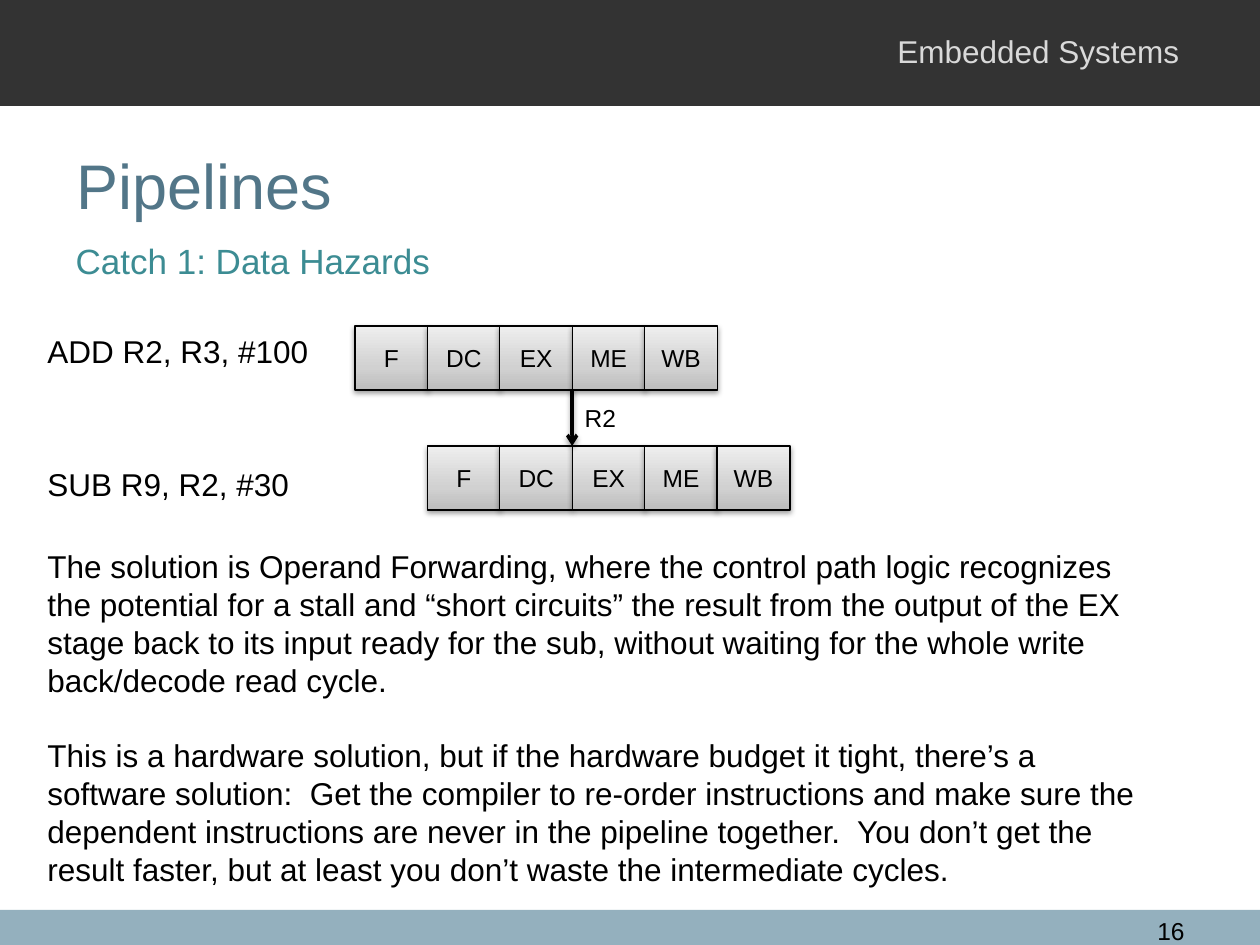
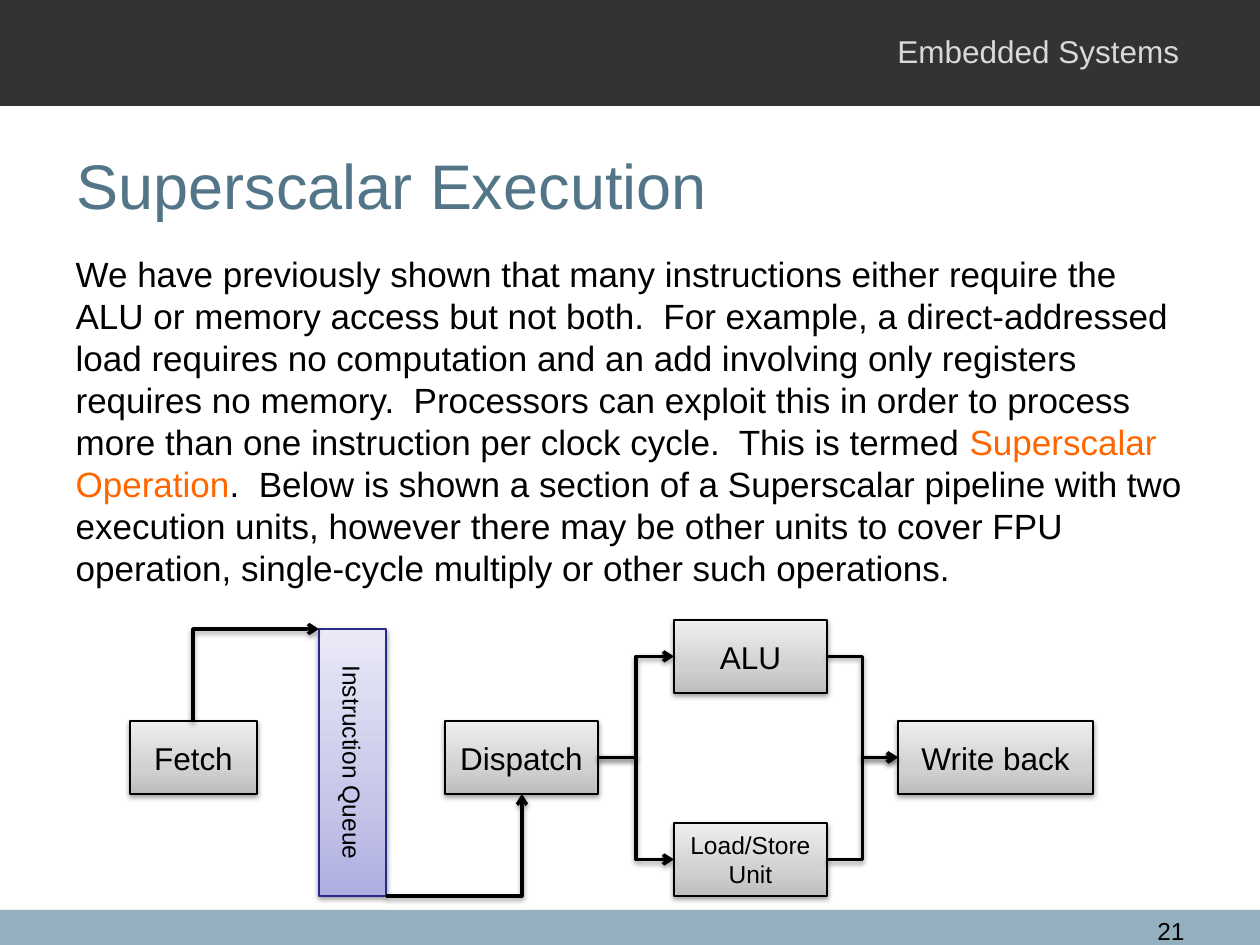
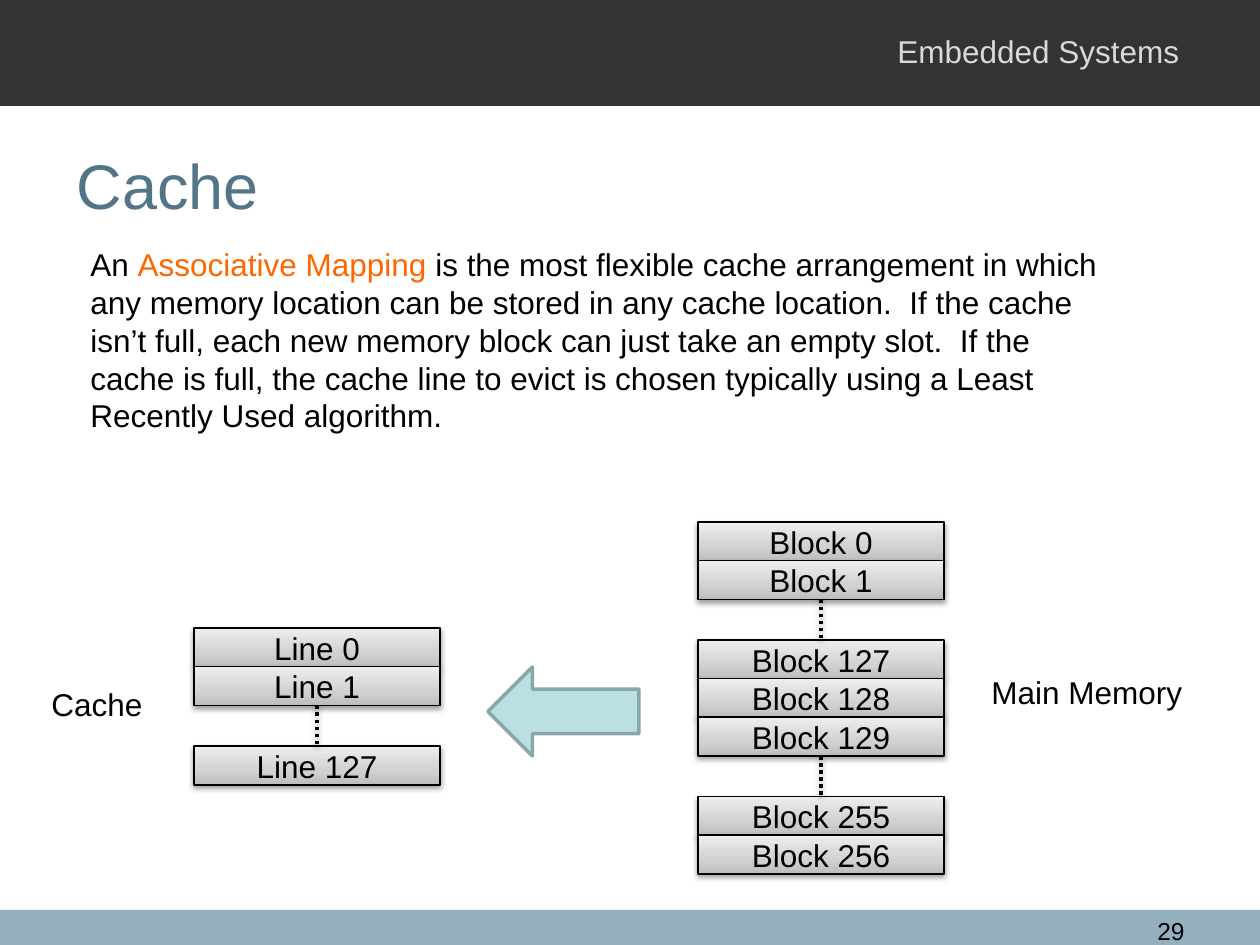
import dataclasses

import pptx
import pptx.dml.color
import pptx.enum.dml
import pptx.enum.shapes
import pptx.enum.text
import pptx.oxml
import pptx.oxml.ns
import pptx.util

SCALE = 914400 / 126  # EMU in one px
SLIDE_SIZE = (1260, 945)

SHAPES = pptx.enum.shapes.MSO_SHAPE
CONNECTORS = pptx.enum.shapes.MSO_CONNECTOR
ALIGN = pptx.enum.text.PP_ALIGN
AUTO_SIZE = pptx.enum.text.MSO_AUTO_SIZE
TOP, LEFT, BOTTOM, RIGHT = range(4)


@dataclasses.dataclass(frozen=True)
class Theme:
    font: str = "Arial"
    ink: str = "000000"
    title: str = "527688"
    subtitle: str = "3C8C93"
    emphasis: str = "FF6600"
    header: str = "D9D9D9"
    header_band: str = "333333"
    footer_band: str = "94B0BE"
    grey: tuple = ((0, "BDBDBD"), (35, "D1D1D1"), (100, "EEEEEE"))
    violet: tuple = ((0, "ADADE1"), (35, "C6C6E9"), (100, "E9E9F7"))
    violet_line: str = "2A2A89"
    arrow: str = "BBE0E3"
    arrow_line: str = "8AA6A8"
    title_size: int = 36
    lead_size: int = 20
    text_size: int = 18
    small_size: int = 14
    thin: float = 0.75
    thick: float = 2


THEME = Theme()

# A paragraph is a tuple of runs; every second run is emphasised.
HEADER = "Embedded Systems"

STAGES = ("F", "DC", "EX", "ME", "WB")
PIPELINE_ROWS = (  # instruction, label box, first column, row top
    ("ADD R2, R3, #100", (35, 326, 291, 50), 0, 326),
    ("SUB R9, R2, #30", (35, 459, 270, 50), 1, 446),
)
FORWARDED = "R2"
FORWARDING_TEXT = (
    ("The solution is Operand Forwarding, where the control path logic recognizes the potential "
     "for a stall and “short circuits” the result from the output of the EX stage back to its "
     "input ready for the sub, without waiting for the whole write back/decode read cycle.",),
    ("This is a hardware solution, but if the hardware budget it tight, there’s a software "
     "solution:  Get the compiler to re-order instructions and make sure the dependent "
     "instructions are never in the pipeline together.  You don’t get the result faster, but at "
     "least you don’t waste the intermediate cycles.",),
)

SUPERSCALAR_TEXT = (
    "We have previously shown that many instructions either require the ALU or memory access but "
    "not both.  For example, a direct-addressed load requires no computation and an add involving "
    "only registers requires no memory.  Processors can exploit this in order to process more than "
    "one instruction per clock cycle.  This is termed ",
    "Superscalar Operation",
    ".  Below is shown a section of a Superscalar pipeline with two execution units, however there "
    "may be other units to cover FPU operation, single-cycle multiply or other such operations.",
)
UNIT_HEIGHT = 73
UNITS = (  # text, left, top, width, type size
    ("Fetch", 130, 721, 127, THEME.text_size),
    ("Dispatch", 445, 721, 153, THEME.text_size),
    ("ALU", 674, 620, 153, THEME.text_size),
    ("Load/Store Unit", 674, 823, 153, THEME.small_size),
    ("Write back", 898, 721, 195, THEME.text_size),
)
QUEUE = ("Instruction Queue", (319, 629, 67, 267))
UNIT_LINKS = (
    ("Dispatch", "ALU"),
    ("Dispatch", "Load/Store Unit"),
    ("ALU", "Write back"),
    ("Load/Store Unit", "Write back"),
)

CACHE_TEXT = (
    "An ",
    "Associative Mapping",
    " is the most flexible cache arrangement in which any memory location can be stored in any "
    "cache location.  If the cache isn’t full, each new memory block can just take an empty slot.  "
    "If the cache is full, the cache line to evict is chosen typically using a Least Recently Used "
    "algorithm.",
)
STACKS = (  # label, label box, left and top of the stack, groups of cells
    ("Main Memory", (979, 667, 218, 50), (698, 522),
     (("Block 0", "Block 1"), ("Block 127", "Block 128", "Block 129"), ("Block 255", "Block 256"))),
    ("Cache", (39, 679, 117, 50), (194, 628),
     (("Line 0", "Line 1"), ("Line 127",))),
)


def emu(*lengths):
    return [round(length * SCALE) for length in lengths]


def rgb(color):
    return pptx.dml.color.RGBColor.from_string(color)


def element(xml):
    """Parse one DrawingML element written without its namespace declaration."""
    tag, rest = xml[:-1].split(" ", 1) if " " in xml.split(">")[0] else xml.split(">", 1)
    raise ValueError(tag + rest)


def drawing(name, content="", attributes=""):
    namespace = pptx.oxml.ns.nsdecls("a")
    return pptx.oxml.parse_xml(f"<a:{name} {namespace} {attributes}>{content}</a:{name}>")


def write(text_frame, paragraphs, size, color=THEME.ink, align=ALIGN.LEFT, gap=0):
    for index, runs in enumerate(paragraphs):
        paragraph = text_frame.paragraphs[0] if index == 0 else text_frame.add_paragraph()
        paragraph.alignment = align
        paragraph.space_before = pptx.util.Pt(gap if index else 0)
        for position, text in enumerate(runs):
            run = paragraph.add_run()
            run.text = text
            run.font.name = THEME.font
            run.font.size = pptx.util.Pt(size)
            run.font.color.rgb = rgb(THEME.emphasis if position % 2 else color)


def add_text(slide, box, paragraphs, size, wrap=True, grow=True, **style):
    shape = slide.shapes.add_textbox(*emu(*box))
    shape.text_frame.word_wrap = wrap
    shape.text_frame.auto_size = AUTO_SIZE.SHAPE_TO_FIT_TEXT if grow else AUTO_SIZE.NONE
    write(shape.text_frame, paragraphs, size, **style)
    return shape


def fill_placeholder(placeholder, box, runs, size, color):
    placeholder.left, placeholder.top, placeholder.width, placeholder.height = emu(*box)
    placeholder.text_frame.auto_size = AUTO_SIZE.NONE
    properties = placeholder.text_frame.paragraphs[0]._p.get_or_add_pPr()
    properties.set("marL", "0")
    properties.set("indent", "0")
    properties.append(drawing("buNone"))
    write(placeholder.text_frame, [runs], size, color)


def add_shadow(shape):
    shadow = ('<a:outerShdw blurRad="40000" dist="20000" dir="5400000" rotWithShape="0">'
              '<a:srgbClr val="000000"><a:alpha val="38000"/></a:srgbClr></a:outerShdw>')
    shape.element.spPr.append(drawing("effectLst", shadow))


def add_box(slide, box, text, size, stops=THEME.grey, line=THEME.ink):
    """Add a shadowed rectangle shaded from bottom to top."""
    shape = slide.shapes.add_shape(SHAPES.RECTANGLE, *emu(*box))
    colors = "".join(f'<a:gs pos="{place * 1000}"><a:srgbClr val="{color}"/></a:gs>'
                     for place, color in stops)
    shape.element.spPr.append(drawing(
        "gradFill", f'<a:gsLst>{colors}</a:gsLst><a:lin ang="16200000" scaled="0"/>',
        'rotWithShape="1"'))
    shape.line.color.rgb = rgb(line)
    shape.line.width = pptx.util.Pt(THEME.thin)
    add_shadow(shape)
    write(shape.text_frame, [(text,)], size, align=ALIGN.CENTER)
    return shape


def add_line(slide, kind=CONNECTORS.STRAIGHT, points=(0, 0, 0, 0), arrow_end=None):
    """Add a line; arrow_end is headEnd (start), tailEnd (finish) or None."""
    connector = slide.shapes.add_connector(kind, *emu(*points))
    connector.line.color.rgb = rgb(THEME.ink)
    connector.line.width = pptx.util.Pt(THEME.thick)
    if arrow_end:
        connector.line._get_or_add_ln().append(drawing(arrow_end, attributes='type="arrow"'))
    add_shadow(connector)
    return connector


def join(connector, start, start_side, finish, finish_side):
    connector.begin_connect(start, start_side)
    connector.end_connect(finish, finish_side)


def add_corner_line(slide, points, arrow_end):
    """Add a line that runs across first and then up or down."""
    connector = add_line(slide, CONNECTORS.ELBOW, points, arrow_end)
    connector.element.spPr.find(pptx.oxml.ns.qn("a:prstGeom")).set("prst", "bentConnector2")


def add_band(slide, box, color):
    band = slide.shapes.add_shape(SHAPES.RECTANGLE, *emu(*box))
    band.shadow.inherit = False
    band.fill.solid()
    band.fill.fore_color.rgb = rgb(color)
    band.line.fill.background()
    return band


def furnish_master(presentation, slide):
    """Draw the bands and the header, then move them to the slide master."""
    parts = (
        add_band(slide, (0, 910, 1260, 35), THEME.footer_band),
        add_band(slide, (0, 0, 1260, 106), THEME.header_band),
        add_text(slide, (885, 26, 315, 50), [(HEADER,)], THEME.text_size, color=THEME.header),
    )
    for index, part in enumerate(parts):
        part.element.nvSpPr.cNvPr.set("id", str(100 + index))
        presentation.slide_master.shapes.element.insert(2 + index, part.element)


def add_slide(presentation, title, number, has_body=False):
    slide = presentation.slides.add_slide(presentation.slide_layouts[1 if has_body else 5])
    if len(presentation.slides) == 1:
        furnish_master(presentation, slide)
    fill_placeholder(slide.shapes.title, (64, 106, 1134, 157), (title,),
                     THEME.title_size, THEME.title)
    add_text(slide, (1116, 910, 81, 30), [(str(number),)], THEME.small_size,
             grow=False, align=ALIGN.RIGHT)
    return slide


def build_pipelines(presentation):
    slide = add_slide(presentation, "Pipelines", 16, has_body=True)
    fill_placeholder(slide.placeholders[1], (63, 233, 1134, 62), ("Catch 1: Data Hazards",),
                     THEME.lead_size, THEME.subtitle)
    first_left, pitch, width, height = 355, 72.4, 73, 64
    for instruction, label_box, first_column, top in PIPELINE_ROWS:
        for column, stage in enumerate(STAGES, first_column):
            left = first_left + column * pitch
            add_box(slide, (left, top, width, height), stage, THEME.small_size)
        add_text(slide, label_box, [(instruction,)], THEME.text_size, wrap=False)
    add_text(slide, (35, 541, 1129, 357), FORWARDING_TEXT, THEME.text_size, gap=21.6)
    forward_left = first_left + 3 * pitch
    (*_, upper_top), (*_, lower_top) = PIPELINE_ROWS
    add_line(slide, points=(forward_left, upper_top + height, forward_left, lower_top),
             arrow_end="tailEnd")
    add_text(slide, (forward_left, 397, 57, 43), [(FORWARDED,)], THEME.small_size, wrap=False)


def build_superscalar(presentation):
    slide = add_slide(presentation, "Superscalar Execution", 21, has_body=True)
    fill_placeholder(slide.placeholders[1], (63, 246, 1134, 339), SUPERSCALAR_TEXT,
                     THEME.lead_size, THEME.ink)
    units = {text: add_box(slide, (left, top, width, UNIT_HEIGHT), text, size)
             for text, left, top, width, size in UNITS}
    text, (left, top, width, height) = QUEUE
    queue = add_box(slide, (left, top, width, height), text, THEME.small_size,
                    THEME.violet, THEME.violet_line)
    queue.text_frame._txBody.bodyPr.set("vert", "vert")

    fetch_middle, fetch_top = 193, 721
    dispatch_middle, dispatch_bottom = 522, 721 + UNIT_HEIGHT
    add_corner_line(slide, (left, top, fetch_middle, fetch_top), "headEnd")
    add_corner_line(slide, (left + width, top + height, dispatch_middle, dispatch_bottom),
                    "tailEnd")
    for start, finish in UNIT_LINKS:
        connector = add_line(slide, CONNECTORS.ELBOW, arrow_end="tailEnd")
        join(connector, units[start], RIGHT, units[finish], LEFT)


def add_stack(slide, left, top, groups):
    """Stack the cells of each group and join the groups by dotted lines."""
    width, height, pitch, group_gap = 246, 39, 38.5, 41
    last_cell = None
    for group in groups:
        cells = [add_box(slide, (left, top + row * pitch, width, height), text, THEME.text_size)
                 for row, text in enumerate(group)]
        if last_cell:
            connector = add_line(slide)
            connector.line.dash_style = pptx.enum.dml.MSO_LINE.ROUND_DOT
            join(connector, last_cell, BOTTOM, cells[0], TOP)
        last_cell = cells[-1]
        top += len(group) * pitch + group_gap


def build_cache(presentation):
    slide = add_slide(presentation, "Cache", 29)
    add_text(slide, (78, 239, 1050, 204), [CACHE_TEXT], THEME.text_size)
    for label, label_box, (left, top), groups in STACKS:
        add_stack(slide, left, top, groups)
        add_text(slide, label_box, [(label,)], THEME.text_size, wrap=False)
    arrow = slide.shapes.add_shape(SHAPES.LEFT_ARROW, *emu(488, 667, 151, 89))
    arrow.shadow.inherit = False
    arrow.fill.solid()
    arrow.fill.fore_color.rgb = rgb(THEME.arrow)
    arrow.line.color.rgb = rgb(THEME.arrow_line)
    arrow.line.width = pptx.util.Pt(THEME.thick)


def main():
    presentation = pptx.Presentation()
    presentation.slide_width, presentation.slide_height = emu(*SLIDE_SIZE)
    build_pipelines(presentation)
    build_superscalar(presentation)
    build_cache(presentation)
    presentation.save("out.pptx")


if __name__ == "__main__":
    main()
